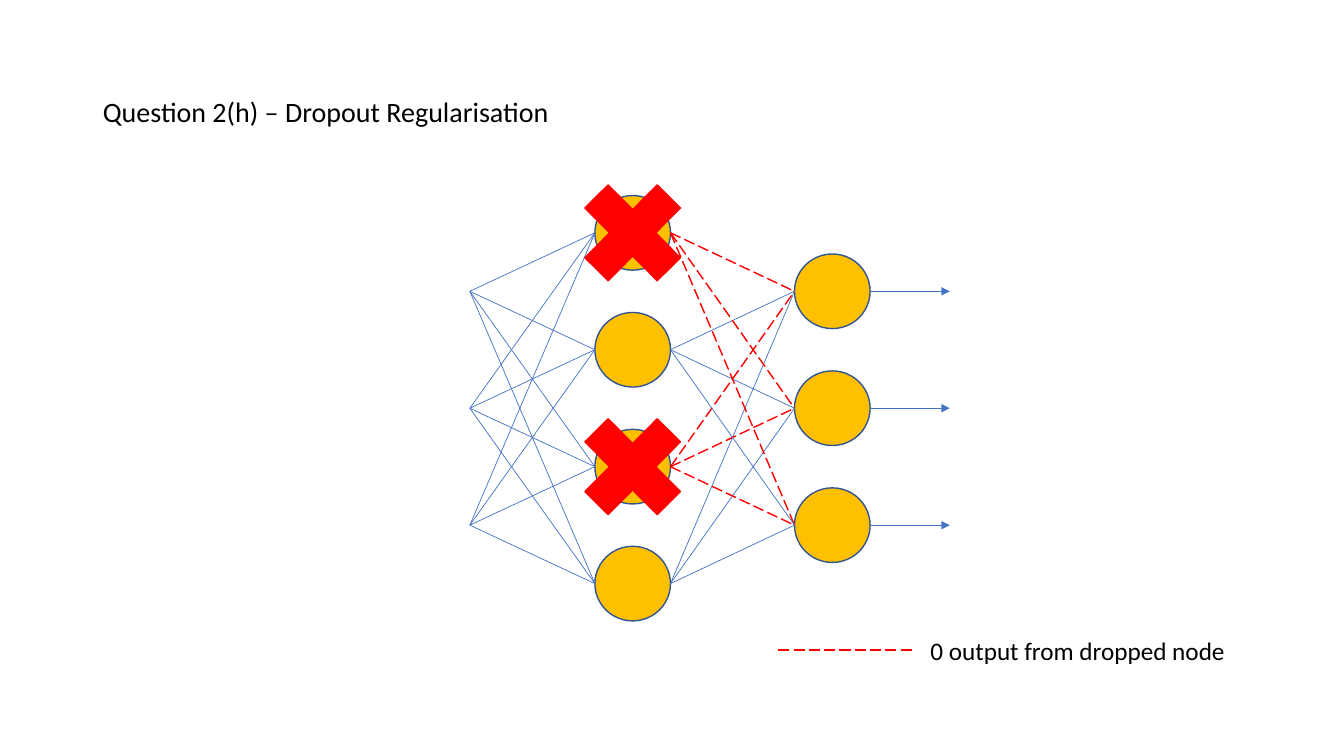
from lxml.etree import SubElement
from pptx import Presentation
from pptx.dml.color import RGBColor
from pptx.enum.dml import MSO_LINE
from pptx.enum.shapes import MSO_CONNECTOR, MSO_SHAPE
from pptx.enum.text import MSO_ANCHOR, MSO_AUTO_SIZE, PP_ALIGN
from pptx.oxml.ns import qn
from pptx.util import Inches, Pt

BLACK = RGBColor(0x00, 0x00, 0x00)
GOLD = RGBColor(0xFF, 0xC0, 0x00)
NAVY = RGBColor(0x32, 0x54, 0x91)
BLUE = RGBColor(0x44, 0x72, 0xC4)
RED = RGBColor(0xFF, 0x00, 0x00)

NODE_WIDTH, NODE_HEIGHT = 0.75, 0.74
INPUT_X, HIDDEN_X, OUTPUT_X, ARROW_END_X = 4.66, 5.9, 7.88, 9.42
CROSS_WIDTH, CROSS_HEIGHT = 1.38, 1.39
STEP = 1.16
hidden_rows = [2.31 + STEP * row for row in range(4)]
output_rows = [2.89 + STEP * row for row in range(3)]
dropped_rows = hidden_rows[::2]


def add_symbol(shapes, kind, left, middle, width, height, fill, outline):
    symbol = shapes.add_shape(kind, Inches(left), Inches(middle - height / 2),
                              Inches(width), Inches(height))
    symbol.shadow.inherit = False
    symbol.fill.solid()
    symbol.fill.fore_color.rgb = fill
    symbol.line.color.rgb = outline
    symbol.line.width = Pt(1)


def add_link(shapes, x1, y1, x2, y2, dropped=False):
    link = shapes.add_connector(MSO_CONNECTOR.STRAIGHT, Inches(x1), Inches(y1),
                                Inches(x2), Inches(y2))
    link.line.color.rgb = RED if dropped else BLUE
    link.line.width = Pt(1 if dropped else 0.5)
    if dropped:
        link.line.dash_style = MSO_LINE.LONG_DASH
    SubElement(link._element.spPr, qn("a:effectLst"))
    return link


deck = Presentation()
deck.slide_width = Inches(13.33)
deck.slide_height = Inches(7.5)
page = deck.slides.add_slide(deck.slide_layouts[5])

title = page.shapes.title
title.left, title.top = Inches(0.92), Inches(0.4)
title.width, title.height = Inches(11.5), Inches(1.45)
title.text_frame.vertical_anchor = MSO_ANCHOR.MIDDLE

network = page.shapes.add_group_shape()
for left, rows in ((HIDDEN_X, hidden_rows), (OUTPUT_X, output_rows)):
    for row in rows:
        add_symbol(network.shapes, MSO_SHAPE.OVAL, left, row,
                   NODE_WIDTH, NODE_HEIGHT, GOLD, NAVY)

for outer in output_rows:
    for hidden in hidden_rows:
        add_link(network.shapes, INPUT_X, outer, HIDDEN_X, hidden)
        add_link(network.shapes, HIDDEN_X + NODE_WIDTH, hidden, OUTPUT_X, outer,
                 hidden in dropped_rows)
    arrow = add_link(network.shapes, OUTPUT_X + NODE_WIDTH, outer, ARROW_END_X, outer)
    SubElement(arrow.line._get_or_add_ln(), qn("a:tailEnd"), type="triangle")

add_link(page.shapes, 7.72, 6.45, 9.08, 6.45, True)
legend = page.shapes.add_textbox(Inches(9.13), Inches(6.25), Inches(3.16), Inches(0.4))
legend.text_frame.word_wrap = False
legend.text_frame.auto_size = MSO_AUTO_SIZE.SHAPE_TO_FIT_TEXT

for box, words, size, spacing in (
    (title, "Question 2(h) – Dropout Regularisation", 20, 0.9),
    (legend, "0 output from dropped node", 18, 1),
):
    para = box.text_frame.paragraphs[0]
    para.alignment = PP_ALIGN.LEFT
    para.line_spacing = spacing
    span = para.add_run()
    span.text = words
    span.font.name = "Calibri"
    span.font.size = Pt(size)
    span.font.color.rgb = BLACK

for row in dropped_rows:
    add_symbol(page.shapes, MSO_SHAPE.MATH_MULTIPLY,
               HIDDEN_X + (NODE_WIDTH - CROSS_WIDTH) / 2, row,
               CROSS_WIDTH, CROSS_HEIGHT, RED, RED)

deck.save("out.pptx")
